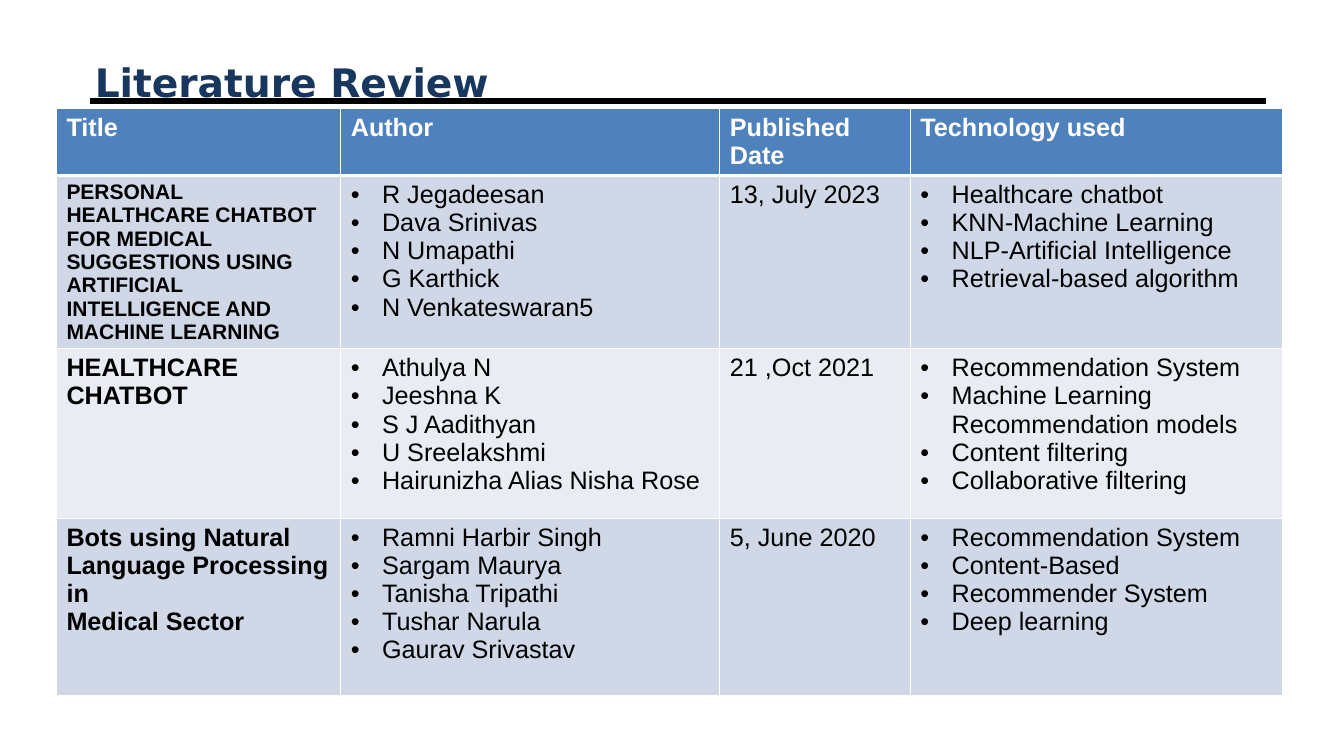
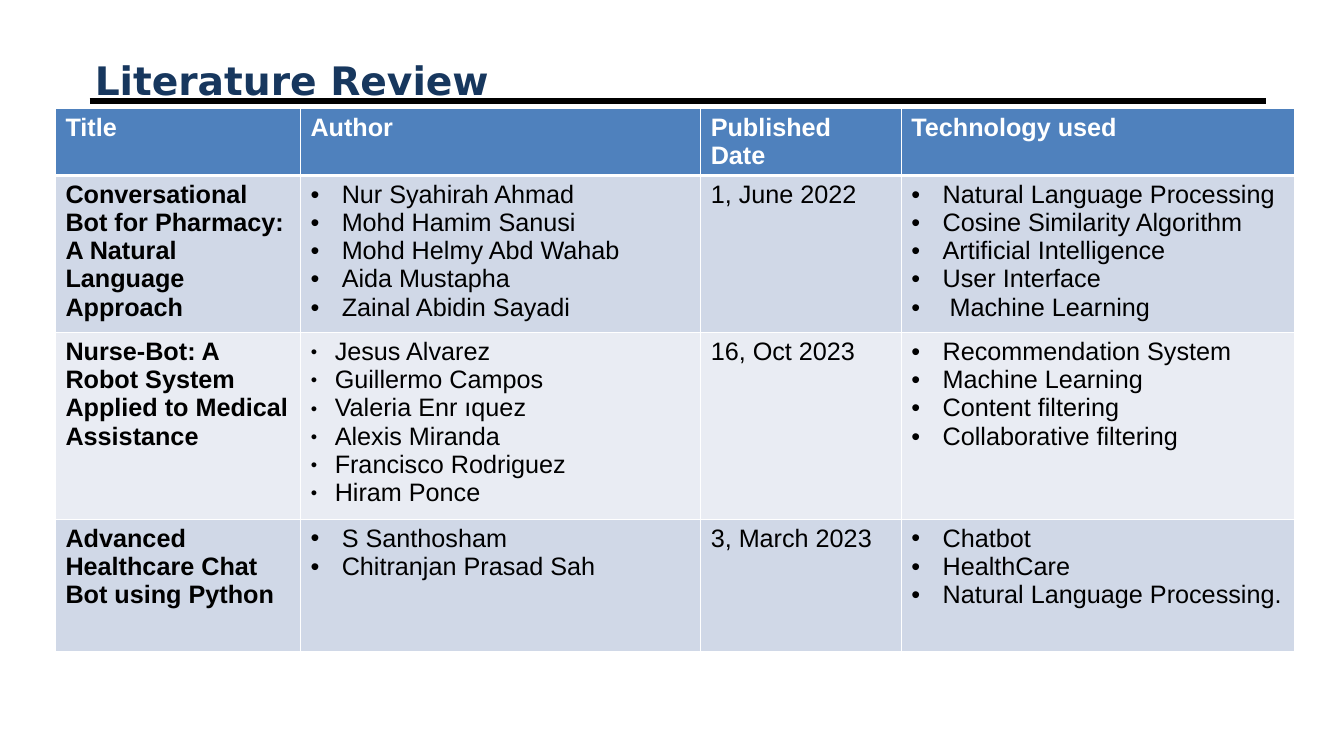
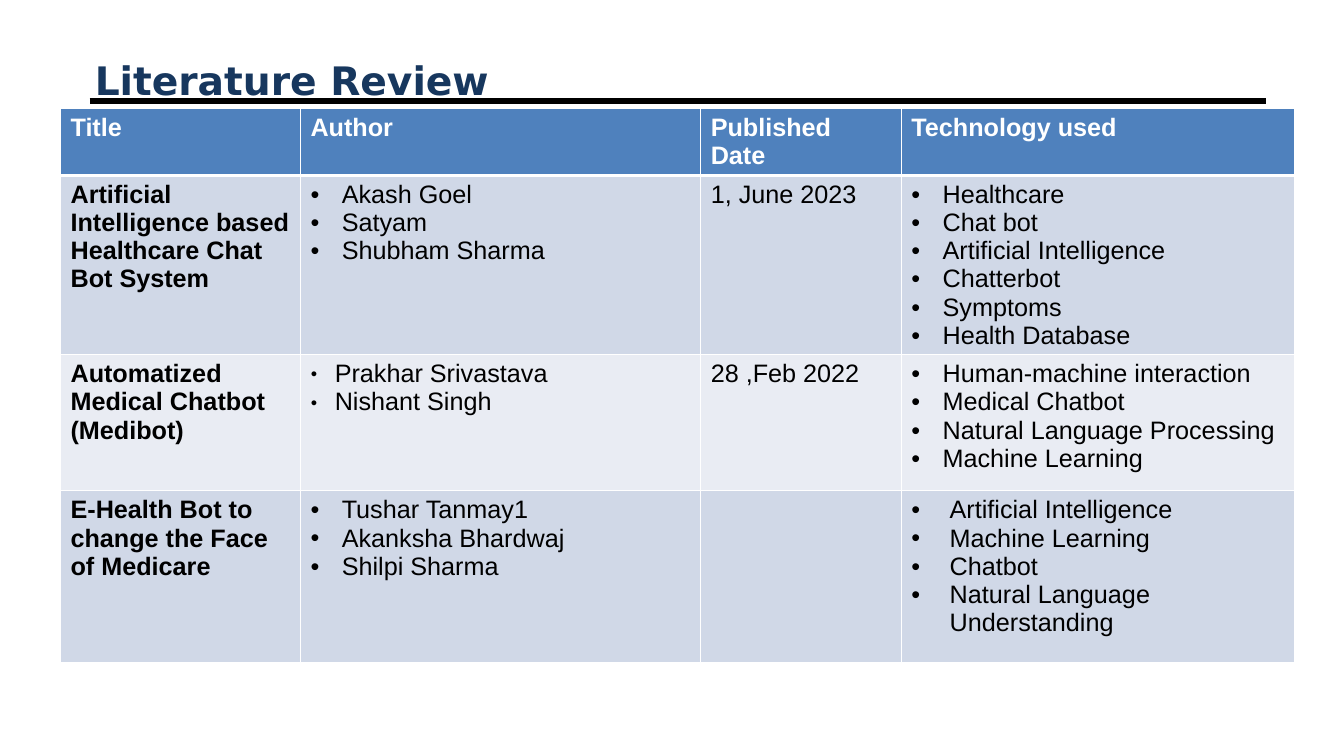
from dataclasses import dataclass

from lxml.etree import SubElement
from pptx import Presentation
from pptx.dml.color import RGBColor
from pptx.enum.shapes import MSO_CONNECTOR
from pptx.enum.text import MSO_ANCHOR, MSO_AUTO_SIZE, PP_ALIGN
from pptx.oxml.ns import qn
from pptx.util import Pt

PX = 9144  # 100 px to the inch

NAVY = RGBColor(0x17, 0x37, 0x5E)
BLUE = RGBColor(0x4F, 0x81, 0xBD)
BAND_DARK = RGBColor(0xD0, 0xD8, 0xE7)
BAND_LIGHT = RGBColor(0xE9, 0xEC, 0xF3)
WHITE = RGBColor(0xFF, 0xFF, 0xFF)
BLACK = RGBColor(0x00, 0x00, 0x00)

# Bullets: character, size in percent, indent in px
DOT = ("•", 100, 31)
WIDE_DOT = ("•", 100, 38)
SMALL_DOT = ("●", 45, 24)

HEADINGS = ["Title", "Author", "Published Date", "Technology used"]
HEADER_HEIGHT = 65
TABLE_TOP = 108
THIN, THICK = Pt(0.96), Pt(3)


@dataclass
class Paper:
    title: list
    authors: list
    date: str
    technology: list
    title_size: int = 18
    author_bullet: tuple = DOT
    technology_bullet: tuple = DOT


@dataclass
class Review:
    title_top: int
    table_left: int
    columns: list
    rows: list
    papers: list


REVIEWS = [
    Review(53, 56, [282, 376, 189, 369], [171, 168, 176], [
        Paper(["PERSONAL HEALTHCARE CHATBOT FOR MEDICAL SUGGESTIONS USING "
               "ARTIFICIAL INTELLIGENCE AND MACHINE LEARNING"],
              ["R Jegadeesan", "Dava Srinivas", "N Umapathi", "G Karthick",
               "N Venkateswaran5"],
              "13, July 2023",
              ["Healthcare chatbot", "KNN-Machine Learning",
               "NLP-Artificial Intelligence", "Retrieval-based algorithm"],
              title_size=15),
        Paper(["HEALTHCARE CHATBOT"],
              ["Athulya N", "Jeeshna K", "S J Aadithyan", "U Sreelakshmi",
               "Hairunizha Alias Nisha Rose"],
              "21 ,Oct 2021",
              ["Recommendation System", "Machine Learning Recommendation models",
               "Content filtering", "Collaborative filtering"]),
        Paper(["Bots using Natural Language Processing in", "Medical Sector"],
              ["Ramni Harbir Singh", "Sargam Maurya", "Tanisha Tripathi",
               "Tushar Narula", "Gaurav Srivastav"],
              "5, June 2020",
              ["Recommendation System", "Content-Based", "Recommender System",
               "Deep learning"]),
    ]),
    Review(51, 55, [243, 397, 199, 390], [156, 185, 131], [
        Paper(["Conversational Bot for Pharmacy: A Natural Language Approach"],
              ["Nur Syahirah Ahmad", "Mohd Hamim Sanusi", "Mohd Helmy Abd Wahab",
               "Aida Mustapha", "Zainal Abidin Sayadi"],
              "1, June 2022",
              ["Natural Language Processing", "Cosine Similarity Algorithm",
               "Artificial Intelligence", "User Interface", " Machine Learning"]),
        Paper(["Nurse-Bot: A Robot System Applied to Medical", "Assistance"],
              ["Jesus Alvarez", "Guillermo Campos", "Valeria Enr ıquez",
               "Alexis Miranda", "Francisco Rodriguez", "Hiram Ponce"],
              "16, Oct 2023",
              ["Recommendation System", "Machine Learning", "Content filtering",
               "Collaborative filtering"],
              author_bullet=SMALL_DOT),
        Paper(["Advanced Healthcare Chat Bot using Python"],
              ["S Santhosham", "Chitranjan Prasad Sah"],
              "3, March 2023",
              ["Chatbot", "HealthCare", "Natural Language Processing."]),
    ]),
    Review(51, 60, [238, 397, 199, 390], [178, 135, 170], [
        Paper(["Artificial Intelligence based Healthcare Chat Bot System"],
              ["Akash Goel", "Satyam", "Shubham Sharma"],
              "1, June 2023",
              ["Healthcare", "Chat bot", "Artificial Intelligence", "Chatterbot",
               "Symptoms", "Health Database"]),
        Paper(["Automatized Medical Chatbot (Medibot)"],
              ["Prakhar Srivastava", "Nishant Singh"],
              "28 ,Feb 2022",
              ["Human-machine interaction", "Medical Chatbot",
               "Natural Language Processing", "Machine Learning"],
              author_bullet=SMALL_DOT),
        Paper(["E-Health Bot to change the Face of Medicare"],
              ["Tushar Tanmay1", "Akanksha Bhardwaj", "Shilpi Sharma"],
              "",
              ["Artificial Intelligence", "Machine Learning", "Chatbot",
               "Natural Language Understanding"],
              technology_bullet=WIDE_DOT),
    ]),
]


def style_cell(cell, fill, top, bottom):
    """Draw white borders, then fill the cell."""
    properties = cell._tc.get_or_add_tcPr()
    for side, width in (("L", THIN), ("R", THIN), ("T", top), ("B", bottom)):
        border = SubElement(properties, qn(f"a:ln{side}"), w=str(int(width)))
        solid = SubElement(border, qn("a:solidFill"))
        SubElement(solid, qn("a:srgbClr"), val=str(WHITE))
    cell.fill.solid()
    cell.fill.fore_color.rgb = fill


def write_cell(cell, lines, color=BLACK, bold=False, size=18, bullet=None):
    """Write one paragraph a line, with bullets if asked for."""
    cell.text_frame.text = "\n".join(lines)
    for paragraph in cell.text_frame.paragraphs:
        for run in paragraph.runs:
            run.font.name = "Arial"
            run.font.size = Pt(size)
            run.font.bold = bold
            run.font.color.rgb = color
        if bullet:
            character, percent, indent = bullet
            properties = paragraph._p.get_or_add_pPr()
            properties.set("marL", str(indent * PX))
            properties.set("indent", str(-indent * PX))
            SubElement(properties, qn("a:buSzPct"), val=str(percent * 1000))
            SubElement(properties, qn("a:buFont"), typeface="Arial")
            SubElement(properties, qn("a:buChar"), char=character)


presentation = Presentation()
presentation.slide_width = 1333 * PX
presentation.slide_height = 750 * PX

# Title-only layout without date, footer and number
layout = presentation.slide_layouts[5]
for placeholder in list(layout.placeholders)[1:]:
    placeholder.element.getparent().remove(placeholder.element)
slides = [presentation.slides.add_slide(layout) for review in REVIEWS]

# Rule under the title, shared through the layout
rule = slides[0].shapes.add_connector(
    MSO_CONNECTOR.STRAIGHT, 89 * PX, 100 * PX, 1256 * PX, 100 * PX)
rule.line.color.rgb = BLACK
rule.line.width = Pt(4.5)
SubElement(rule.element.spPr, qn("a:effectLst"))
layout.shapes.element.append(rule.element)

for slide, review in zip(slides, REVIEWS):
    # Title
    title = slide.shapes.title
    title.left, title.top = 84 * PX, review.title_top * PX
    title.width, title.height = 1166 * PX, 57 * PX
    frame = title.text_frame
    frame.text = "Literature Review"
    frame.auto_size = MSO_AUTO_SIZE.NONE
    frame.vertical_anchor = MSO_ANCHOR.MIDDLE
    paragraph = frame.paragraphs[0]
    paragraph.alignment = PP_ALIGN.LEFT
    font = paragraph.runs[0].font
    font.name = "DejaVu Sans"
    font.size = Pt(28)
    font.bold = True
    font.color.rgb = NAVY

    # Table grid
    heights = [HEADER_HEIGHT] + review.rows
    table = slide.shapes.add_table(
        len(heights), len(HEADINGS), review.table_left * PX, TABLE_TOP * PX,
        sum(review.columns) * PX, sum(heights) * PX).table
    table.horz_banding = False
    for column, width in zip(table.columns, review.columns):
        column.width = width * PX
    for row, height in zip(table.rows, heights):
        row.height = height * PX

    # Header row
    for cell, heading in zip(table.rows[0].cells, HEADINGS):
        style_cell(cell, BLUE, THIN, THICK)
        write_cell(cell, [heading], color=WHITE, bold=True)

    # One row a paper
    for number, paper in enumerate(review.papers, start=1):
        cells = list(table.rows[number].cells)
        for cell in cells:
            style_cell(cell, BAND_DARK if number % 2 else BAND_LIGHT,
                       THICK if number == 1 else THIN, THIN)
        write_cell(cells[0], paper.title, bold=True, size=paper.title_size)
        write_cell(cells[1], paper.authors, bullet=paper.author_bullet)
        write_cell(cells[2], [paper.date])
        write_cell(cells[3], paper.technology, bullet=paper.technology_bullet)

presentation.save("out.pptx")
